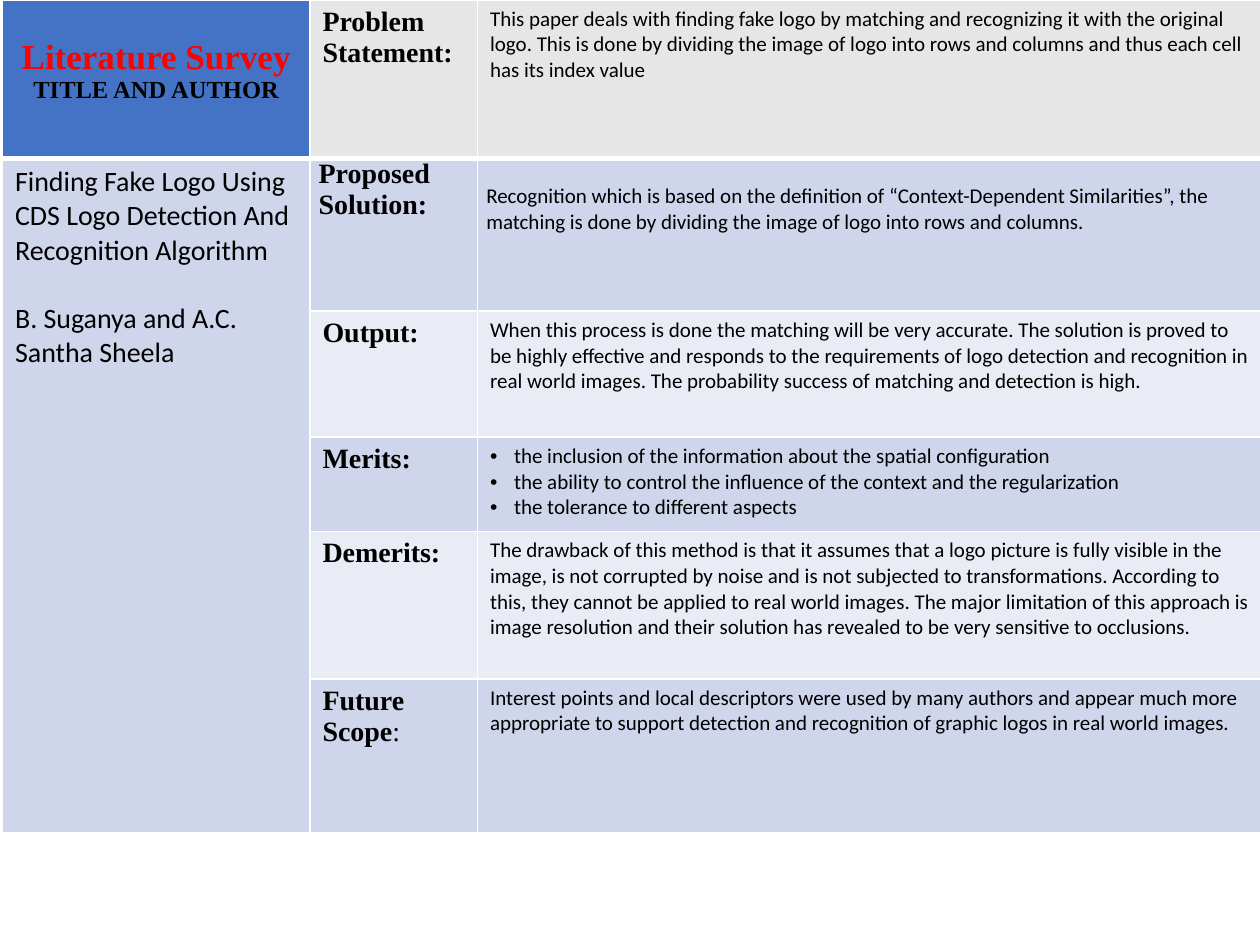
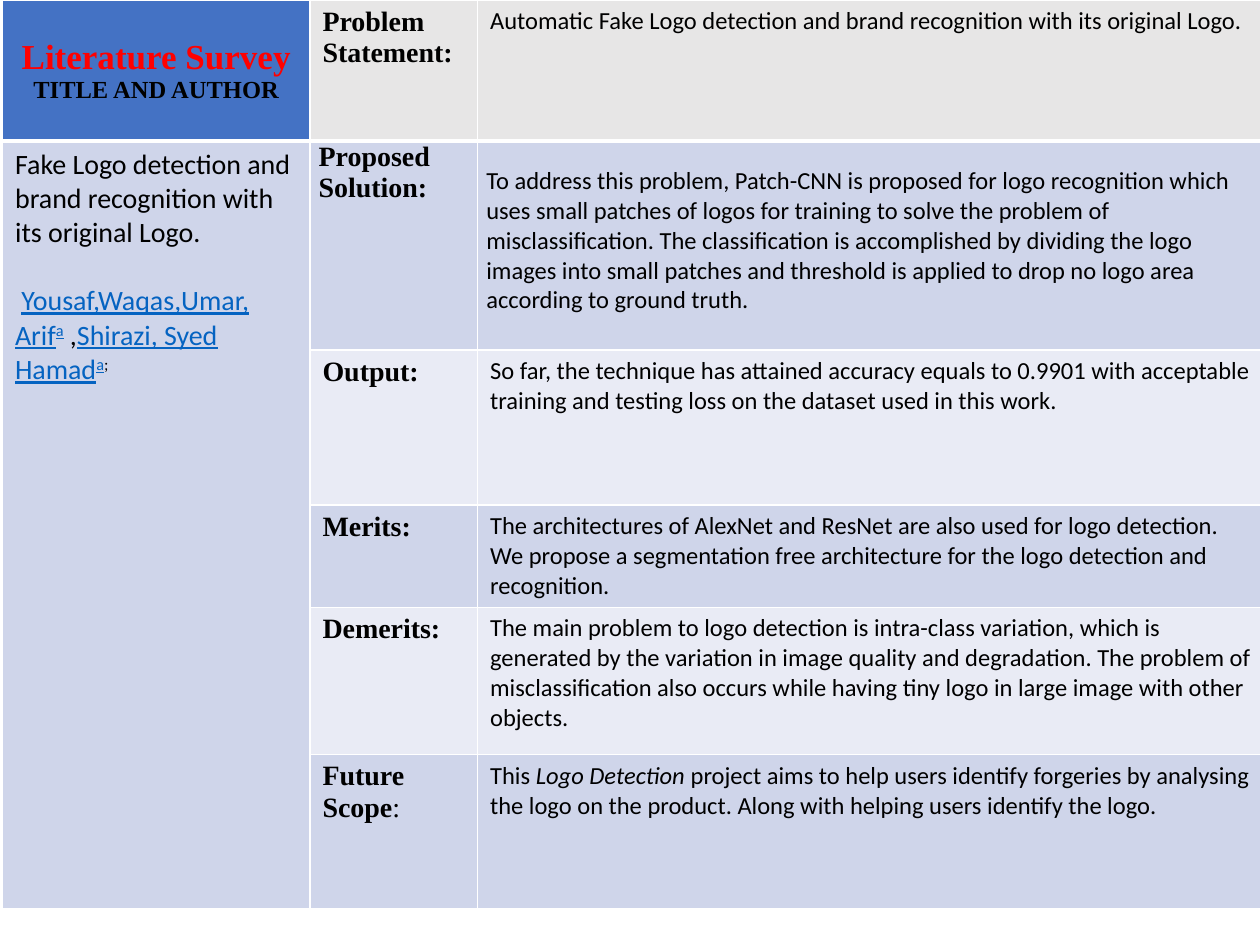
"""Builds two literature survey slides, each a table summarising one paper."""
from lxml import etree
from pptx import Presentation
from pptx import util as u
from pptx.dml import color
from pptx.enum import text
from pptx.oxml import ns

COLORS = {"title": "FF0000", "ink": "000000", "link": "0563C1", "rule": "FFFFFF",
          "corner": "4472C4", "header": "E7E6E6", "dark": "CFD5EA", "light": "E9EBF5"}
SERIF, SANS = "Times New Roman", "Calibri"
COLUMN_WIDTHS = [2.44, 1.33, 6.25]
LABELS = ["Problem Statement:", "Proposed Solution:", "Output:", "Merits:", "Demerits:",
          [("Future Scope", {}), (":", {"bold": False})]]
LINK = {"ink": "link", "underline": True}
RAISED = {"baseline": 30}

papers = [
    {
        "rows": [1.26, 1.21, 1, 0.75, 1.17, 1.22],
        "size": 12,
        "title": "Finding Fake Logo Using CDS Logo Detection And Recognition Algorithm",
        "authors": "B. Suganya and A.C. Santha Sheela",
        "findings": [
            "This paper deals with finding fake logo by matching and recognizing it with the "
            "original logo. This is done by dividing the image of logo into rows and columns "
            "and thus each cell has its index value",
            "Recognition which is based on the definition of “Context-Dependent Similarities”, "
            "the matching is done by dividing the image of logo into rows and columns.",
            "When this process is done the matching will be very accurate. The solution is "
            "proved to be highly effective and responds to the requirements of logo detection "
            "and recognition in real world images. The probability success of matching and "
            "detection is high.",
            ["the inclusion of the information about the spatial configuration",
             "the ability to control the influence of the context and the regularization",
             "the tolerance to different aspects"],
            "The drawback of this method is that it assumes that a logo picture is fully "
            "visible in the image, is not corrupted by noise and is not subjected to "
            "transformations. According to this, they cannot be applied to real world images. "
            "The major limitation of this approach is image resolution and their solution has "
            "revealed to be very sensitive to occlusions.",
            "Interest points and local descriptors were used by many authors and appear much "
            "more appropriate to support detection and recognition of graphic logos in real "
            "world images.",
        ],
    },
    {
        "rows": [1.12, 1.66, 1.23, 0.75, 1.17, 1.22],
        "size": 14,
        "title": "Fake Logo detection and brand recognition with its original Logo.",
        "authors": [(" ", {}), ("Yousaf,Waqas,Umar, Arif", LINK), ("a", LINK | RAISED),
                    (" ,", {}), ("Shirazi, Syed Hamad", LINK), ("a", LINK | RAISED),
                    (";", RAISED)],
        "findings": [
            "Automatic Fake Logo detection and brand recognition with its original Logo.",
            "To address this problem, Patch-CNN is proposed for logo recognition which uses "
            "small patches of logos for training to solve the problem of misclassification. "
            "The classification is accomplished by dividing the logo images into small patches "
            "and threshold is applied to drop no logo area according to ground truth.",
            "So far, the technique has attained accuracy equals to 0.9901 with acceptable "
            "training and testing loss on the dataset used in this work.",
            "The architectures of AlexNet and ResNet are also used for logo detection. We "
            "propose a segmentation free architecture for the logo detection and recognition.",
            "The main problem to logo detection is intra-class variation, which is generated "
            "by the variation in image quality and degradation. The problem of "
            "misclassification also occurs while having tiny logo in large image with other "
            "objects.",
            [("This ", {}), ("Logo Detection", {"italic": True}),
             (" project aims to help users identify forgeries by analysing the logo on the "
              "product. Along with helping users identify the logo.", {})],
        ],
    },
]


def write(cell, content, font=SANS, size=16, bold=False, ink="ink", align=None,
          before=0, bullet=False, add=False):
    """Put one paragraph, given as a string or as (text, format) runs, in a cell."""
    frame = cell.text_frame
    paragraph = frame.add_paragraph() if add else frame.paragraphs[0]
    paragraph.alignment = align
    if before:
        paragraph.space_before = u.Pt(before)
    if bullet:
        properties = paragraph._p.get_or_add_pPr()
        properties.set("marL", str(u.Inches(0.19)))
        properties.set("indent", str(u.Inches(-0.19)))
        etree.SubElement(properties, ns.qn("a:buFont"), typeface="Arial")
        etree.SubElement(properties, ns.qn("a:buChar"), char="•")
    for words, extra in [(content, {})] if isinstance(content, str) else content:
        run = paragraph.add_run()
        run.text = words
        run.font.name, run.font.size = font, u.Pt(size)
        run.font.bold = extra.get("bold", bold)
        run.font.italic = extra.get("italic", False)
        run.font.underline = extra.get("underline", False)
        run.font.color.rgb = color.RGBColor.from_string(COLORS[extra.get("ink", ink)])
        if "baseline" in extra:
            run._r.get_or_add_rPr().set("baseline", str(extra["baseline"] * 1000))


def dress(cell, fill, top, bottom):
    """Give a cell its fill and white rules."""
    properties = cell._tc.get_or_add_tcPr()
    for side, width in zip("LRTB", (1, 1, top, bottom)):
        rule = etree.SubElement(properties, ns.qn(f"a:ln{side}"), w=str(u.Pt(width)))
        paint = etree.SubElement(rule, ns.qn("a:solidFill"))
        etree.SubElement(paint, ns.qn("a:srgbClr"), val=COLORS["rule"])
    cell.fill.solid()
    cell.fill.fore_color.rgb = color.RGBColor.from_string(COLORS[fill])


deck = Presentation()
deck.slide_width, deck.slide_height = u.Inches(10), u.Inches(7.5)

for paper in papers:
    slide = deck.slides.add_slide(deck.slide_layouts[6])
    survey = slide.shapes.add_table(
        len(LABELS), len(COLUMN_WIDTHS), u.Inches(0.02), 0,
        u.Inches(sum(COLUMN_WIDTHS)), u.Inches(sum(paper["rows"]))).table
    survey.horz_banding = False
    for column, width in zip(survey.columns, COLUMN_WIDTHS):
        column.width = u.Inches(width)

    for index, height in enumerate(paper["rows"]):
        survey.rows[index].height = u.Inches(height)
        band = "header" if index == 0 else "dark" if index % 2 else "light"
        fills = ["dark" if index else "corner", band, band]
        for position, fill in enumerate(fills):
            dress(survey.cell(index, position), fill,
                  top=3 if index == 1 else 1, bottom=1 if index else 3)

        label, finding = survey.cell(index, 1), survey.cell(index, 2)
        write(label, LABELS[index], font=SERIF, bold=True)
        findings = paper["findings"][index]
        if isinstance(findings, list) and isinstance(findings[0], str):
            for number, point in enumerate(findings):
                write(finding, point, size=paper["size"], bullet=True, add=number > 0)
        else:
            write(finding, findings, size=paper["size"])

    for position, top in ((1, 0), (2, 0.2)):
        solution = survey.cell(1, position)
        solution.margin_left = solution.margin_right = u.Inches(0.07)
        solution.margin_top, solution.margin_bottom = u.Inches(top), 0

    corner = survey.cell(0, 0)
    corner.margin_top = u.Inches(0.3)
    centred = text.PP_ALIGN.CENTER
    write(corner, "Literature Survey", font=SERIF, size=20, bold=True, ink="title",
          align=centred)
    write(corner, "TITLE AND AUTHOR", font=SERIF, size=14, bold=True, align=centred, add=True)

    source = survey.cell(1, 0)
    source.merge(survey.cell(len(LABELS) - 1, 0))
    write(source, paper["title"])
    write(source, paper["authors"], before=19.5, add=True)

deck.save("out.pptx")
